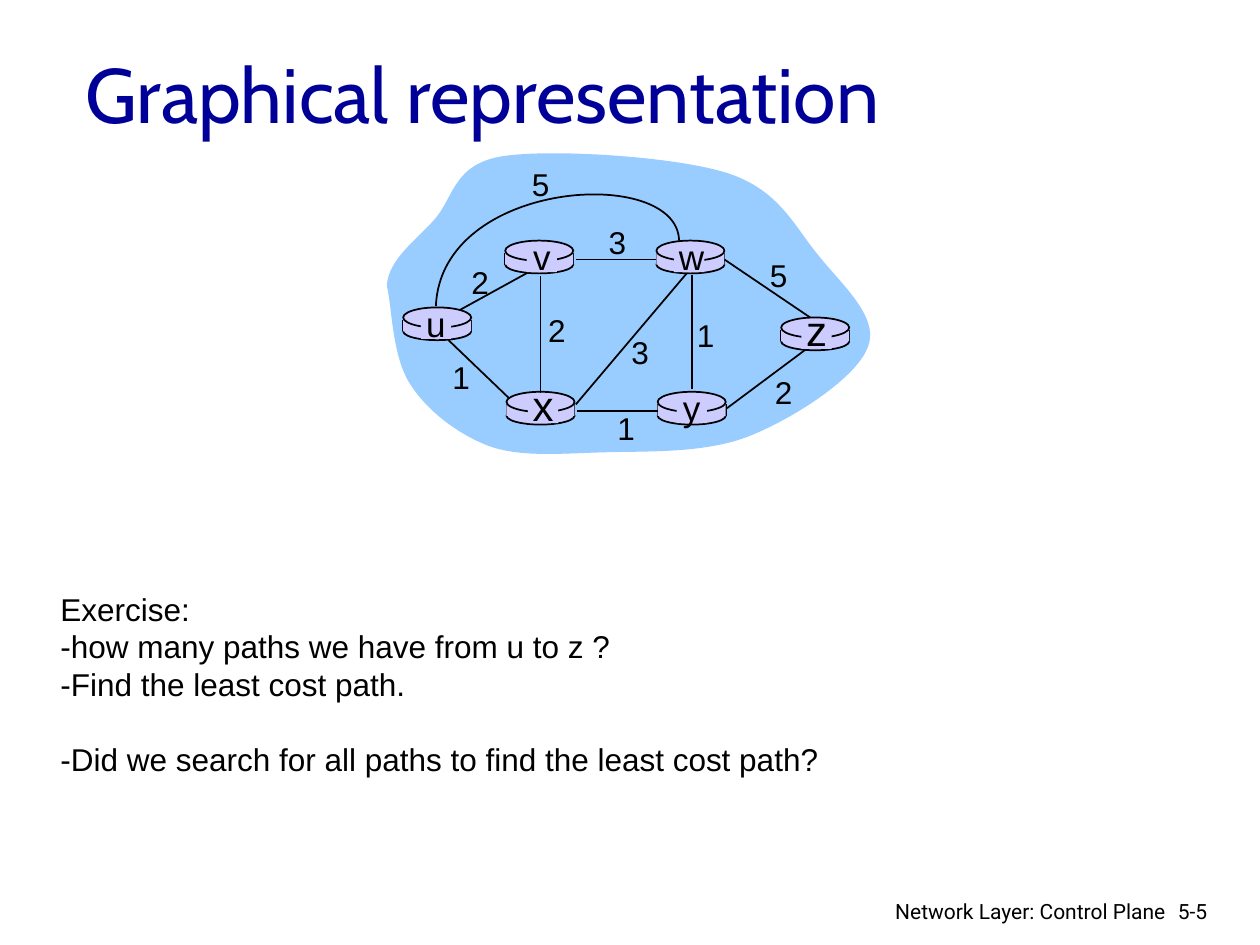
from dataclasses import dataclass

from pptx import Presentation
from pptx.dml.color import RGBColor
from pptx.enum.shapes import MSO_CONNECTOR, MSO_SHAPE
from pptx.enum.text import MSO_ANCHOR, MSO_AUTO_SIZE, PP_ALIGN
from pptx.oxml.ns import qn
from pptx.util import Emu, Pt

SCALE = 9144
NAVY = RGBColor(0, 0, 0x99)
BLACK = RGBColor(0, 0, 0)
SKY = RGBColor(0x99, 0xCC, 0xFF)
LILAC = RGBColor(0xCC, 0xCC, 0xFF)


@dataclass
class Node:
    name: str
    x: int
    y: int
    mid: int
    size: int = 20


@dataclass
class Edge:
    x1: int
    y1: int
    x2: int
    y2: int


@dataclass
class Cost:
    text: str
    x: int
    y: int


NODES = [
    Node("u", 320, 244, 346), Node("x", 402, 311, 431, 24),
    Node("v", 401, 191, 430), Node("w", 521, 191, 547),
    Node("y", 522, 311, 549), Node("z", 620, 252, 648, 24),
]
EDGES = [
    Edge(549, 218, 549, 309), Edge(429, 219, 429, 312),
    Edge(457, 321, 545, 217), Edge(577, 324, 640, 277),
    Edge(522, 326, 458, 326), Edge(404, 316, 356, 270),
    Edge(521, 206, 457, 206), Edge(643, 252, 575, 206),
]
COSTS = [
    Cost("2", 364, 204), Cost("2", 425, 242), Cost("1", 349, 279),
    Cost("3", 491, 259), Cost("1", 480, 320), Cost("1", 543, 246),
    Cost("2", 605, 291), Cost("5", 601, 198), Cost("3", 473, 172),
    Cost("5", 412, 126),
]
CLOUD = [
    (307, 227), (308, 206), (330, 191), (345, 174), (360, 157), (360, 130),
    (399, 124), (437, 118), (534, 124), (576, 137), (618, 150), (630, 179),
    (649, 202), (667, 225), (698, 251), (689, 275), (680, 300), (630, 332),
    (595, 346), (560, 360), (514, 358), (479, 359), (445, 360), (413, 363),
    (388, 354), (362, 344), (338, 325), (325, 304), (311, 282), (311, 242),
    (307, 227),
]
ARC = [(539, 191), (538, 131), (350, 142), (346, 243)]
TASKS = [
    "Exercise:",
    "-how many paths we have from u to z ?",
    "-Find the least cost path.",
    "-Did we search for all paths to find the least cost path?",
]


def px(n: int) -> Emu:
    return Emu(n * SCALE)


def place(shape, x: int, y: int, w: int, h: int) -> None:
    shape.left, shape.top, shape.width, shape.height = map(px, (x, y, w, h))


def style(par, size: int, face: str, color: RGBColor = BLACK) -> None:
    for run in par.runs:
        run.font.size = Pt(size)
        run.font.name = face
        run.font.color.rgb = color


def paint(shape, fill: RGBColor | None, line: bool) -> None:
    shape.shadow.inherit = False
    if fill is None:
        shape.fill.background()
    else:
        shape.fill.solid()
        shape.fill.fore_color.rgb = fill
    if line:
        shape.line.color.rgb = BLACK
        shape.line.width = Pt(1)
    else:
        shape.line.fill.background()


def block(slide, kind, x: int, y: int, w: int, h: int, line: bool) -> None:
    paint(slide.shapes.add_shape(kind, *map(px, (x, y, w, h))), LILAC, line)


def link(slide, edge: Edge) -> None:
    ends = map(px, (edge.x1, edge.y1, edge.x2, edge.y2))
    line = slide.shapes.add_connector(MSO_CONNECTOR.STRAIGHT, *ends)
    line.line.color.rgb = BLACK
    line.line.width = Pt(1)
    props = line._element.spPr
    props.append(props.makeelement(qn("a:effectLst"), {}))


def curve(slide, knots: list, fill: RGBColor | None, line: bool) -> None:
    pen = slide.shapes.build_freeform(*knots[0], scale=SCALE)
    pen.add_line_segments(knots[1:], close=fill is not None)
    shape = pen.convert_to_shape()
    legs = list(shape._element.iter(qn("a:lnTo")))
    for i in range(0, len(knots) - 1, 3):
        bend = legs[i].makeelement(qn("a:cubicBezTo"), {})
        legs[i].addprevious(bend)
        for leg in legs[i:i + 3]:
            bend.append(leg[0])
            leg.getparent().remove(leg)
    paint(shape, fill, line)


def label(slide, text: str, x: int, y: int, w: int, h: int, size: int,
          face: str = "Arial", align=PP_ALIGN.CENTER) -> None:
    box = slide.shapes.add_textbox(*map(px, (x, y, w, h)))
    frame = box.text_frame
    frame.text = text
    frame.word_wrap = False
    par = frame.paragraphs[0]
    par.alignment = align
    style(par, size, face)


def router(slide, node: Node) -> None:
    x, y = node.x, node.y
    block(slide, MSO_SHAPE.OVAL, x, y + 12, 54, 14, True)
    for side in (x, x + 54):
        link(slide, Edge(side, y + 10, side, y + 19))
    block(slide, MSO_SHAPE.RECTANGLE, x, y + 10, 54, 9, False)
    block(slide, MSO_SHAPE.OVAL, x, y, 54, 16, True)


def tag(slide, node: Node) -> None:
    block(slide, MSO_SHAPE.RECTANGLE, node.mid - 12, node.y + 2, 24, 23, False)
    rise, high = (15, 50) if node.size == 24 else (9, 43)
    label(slide, node.name, node.mid - 18, node.y - rise, 36, high, node.size)


def heads(slide) -> None:
    title, body = slide.shapes.title, slide.placeholders[1]
    place(title, 58, 24, 850, 99)
    title.text_frame.text = "Graphical representation"
    title.text_frame.vertical_anchor = MSO_ANCHOR.MIDDLE
    title.text_frame.paragraphs[0].alignment = PP_ALIGN.LEFT
    style(title.text_frame.paragraphs[0], 44, "Cabin", NAVY)
    place(body, 38, 463, 834, 162)
    frame = body.text_frame
    frame.text = "\n".join(TASKS)
    frame.auto_size = MSO_AUTO_SIZE.NONE
    for par in frame.paragraphs:
        props = par._p.get_or_add_pPr()
        props.set("marL", "0")
        props.set("indent", "0")
        props.append(props.makeelement(qn("a:buNone"), {}))
        par.space_before = Pt(0)
        style(par, 18, "Arial")
    frame.paragraphs[-1].space_before = Pt(21)


def main() -> None:
    deck = Presentation()
    deck.slide_width, deck.slide_height = px(1000), px(750)
    slide = deck.slides.add_slide(deck.slide_layouts[1])
    heads(slide)
    curve(slide, CLOUD, SKY, False)
    link(slide, Edge(365, 246, 425, 213))
    for node in NODES:
        router(slide, node)
    for edge in EDGES:
        link(slide, edge)
    curve(slide, ARC, None, True)
    for node in NODES:
        tag(slide, node)
    for cost in COSTS:
        label(slide, cost.text, cost.x, cost.y, 34, 40, 18)
    label(slide, "5-5", 925, 708, 60, 30, 12, "Roboto", PP_ALIGN.LEFT)
    label(slide, "Network Layer: Control Plane", 697, 708, 238, 26, 12,
          "Roboto", PP_ALIGN.RIGHT)
    deck.save("out.pptx")


if __name__ == "__main__":
    main()
